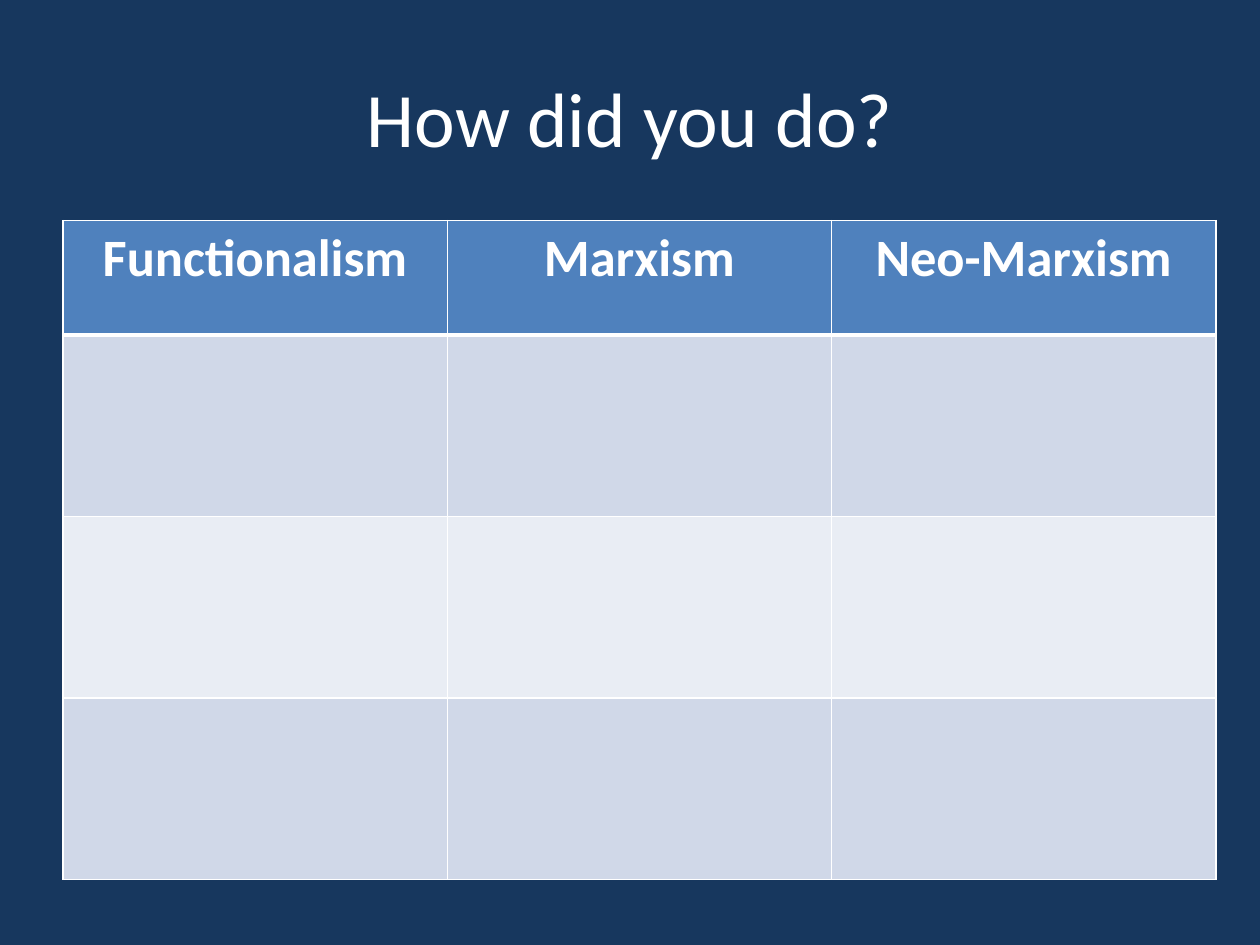
from pptx import Presentation
from pptx.dml.color import RGBColor
from pptx.enum.text import MSO_ANCHOR as Anchor, PP_ALIGN as Align
from pptx.oxml import parse_xml
from pptx.oxml.ns import nsdecls
from pptx.util import Pt

TITLE = "How did you do?"
HEADS = ["Functionalism", "Marxism", "Neo-Marxism"]
FILLS = ["4F81BD", "D0D8E8", "E9EDF4", "D0D8E8"]
ROWS = [65.5, 103.7, 103.7, 103.7]
COL = 219.6
NAVY, WHITE = "17375E", "FFFFFF"


def paint(fill, color):
    fill.solid()
    fill.fore_color.rgb = RGBColor.from_string(color)


def write(frame, text, **form):
    para = frame.paragraphs[0]
    para.text = text
    para.alignment = Align.CENTER
    font = para.runs[0].font
    for key, val in {"name": "Calibri", **form}.items():
        setattr(font, key, val)
    paint(font.fill, WHITE)


def edge(cell, side, width):
    cell._tc.get_or_add_tcPr().append(parse_xml(
        f'<a:ln{side} {nsdecls("a")} w="{Pt(width)}"><a:solidFill>'
        f'<a:srgbClr val="{WHITE}"/></a:solidFill></a:ln{side}>'))


deck = Presentation()
deck.slide_width, deck.slide_height = Pt(720), Pt(540)
slide = deck.slides.add_slide(deck.slide_layouts[5])
paint(slide.background.fill, NAVY)

title = slide.shapes.title
place = {"left": 36, "top": 21.6, "width": 648, "height": 90}
for key, val in place.items():
    setattr(title, key, Pt(val))
title.text_frame.vertical_anchor = Anchor.MIDDLE
write(title.text_frame, TITLE, size=Pt(44))

table = slide.shapes.add_table(
    len(ROWS), len(HEADS), Pt(36), Pt(126),
    Pt(COL * len(HEADS)), Pt(sum(ROWS))).table
for col in table.columns:
    col.width = Pt(COL)
for r, (row, high, color) in enumerate(zip(table.rows, ROWS, FILLS)):
    row.height = Pt(high)
    widths = {"L": 1, "R": 1, "T": 3 if r == 1 else 1, "B": 3 if r == 0 else 1}
    for cell in row.cells:
        for side, width in widths.items():
            edge(cell, side, width)
        paint(cell.fill, color)
for cell, head in zip(table.rows[0].cells, HEADS):
    write(cell.text_frame, head, size=Pt(30), bold=True)

deck.save("out.pptx")
